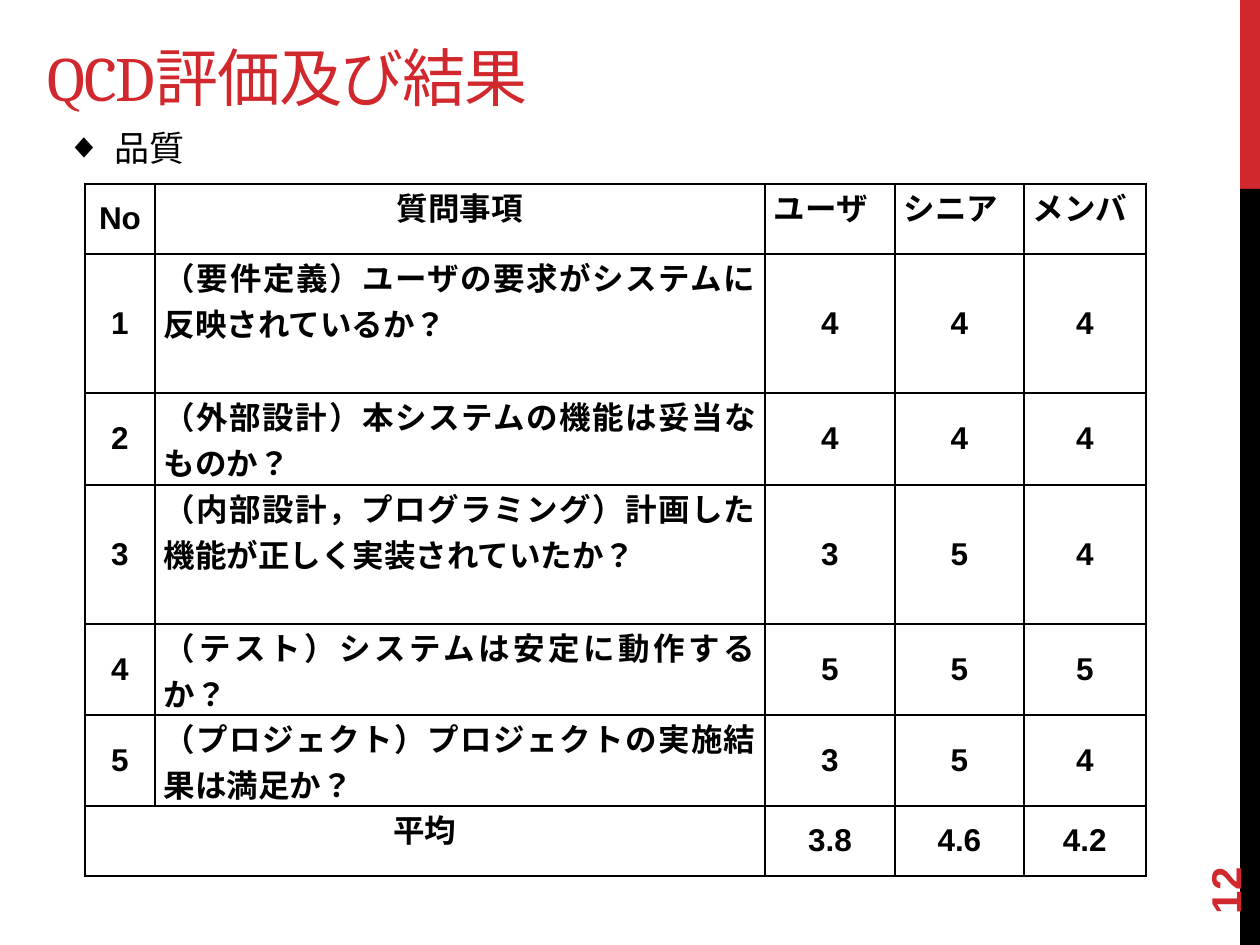
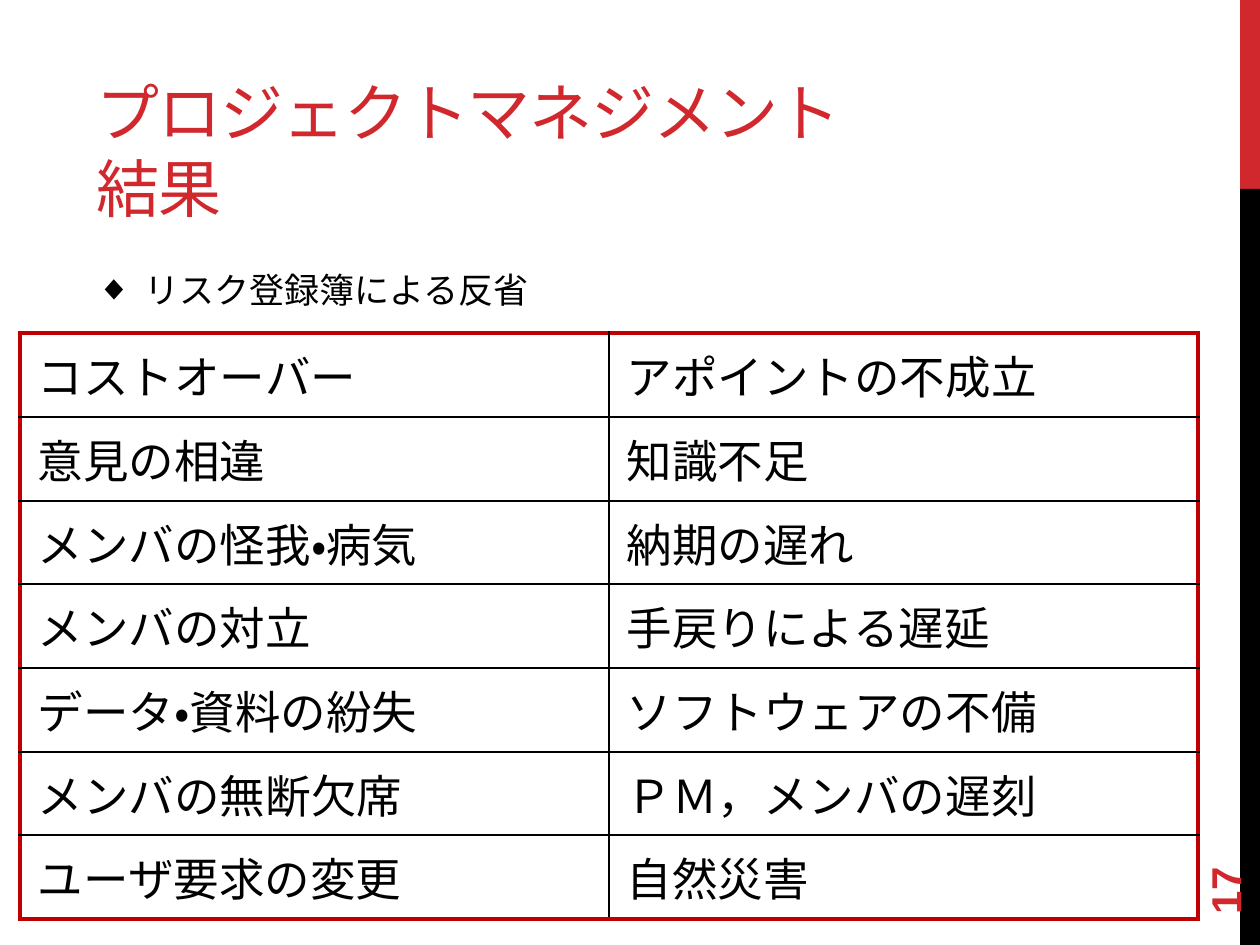
from dataclasses import dataclass

from lxml import etree
from pptx import Presentation
from pptx.dml.color import RGBColor
from pptx.enum.shapes import MSO_SHAPE
from pptx.enum.text import MSO_ANCHOR, PP_ALIGN
from pptx.oxml.ns import qn
from pptx.util import Emu, Pt

RECTANGLE = MSO_SHAPE.RECTANGLE
TOP, MIDDLE, BOTTOM = MSO_ANCHOR.TOP, MSO_ANCHOR.MIDDLE, MSO_ANCHOR.BOTTOM
LEFT, CENTER, JUSTIFY = PP_ALIGN.LEFT, PP_ALIGN.CENTER, PP_ALIGN.JUSTIFY

PX_PER_INCH = 126
COLORS = {"red": "D1282E", "frame": "C00000", "black": "000000", "white": "FFFFFF"}
BODY_FONT = "Arial"
CENTERED_LABELS = ("質問事項", "平均")

SURVEY = [
    ("No", "質問事項", "ユーザ", "シニア", "メンバ"),
    ("1", "（要件定義）ユーザの要求がシステムに反映されているか？", "4", "4", "4"),
    ("2", "（外部設計）本システムの機能は妥当なものか？", "4", "4", "4"),
    ("3", "（内部設計，プログラミング）計画した機能が正しく実装されていたか？", "3", "5", "4"),
    ("4", "（テスト）システムは安定に動作するか？", "5", "5", "5"),
    ("5", "（プロジェクト）プロジェクトの実施結果は満足か？", "3", "5", "4"),
    ("平均", "", "3.8", "4.6", "4.2"),
]
RISKS = [
    ("コストオーバー", "アポイントの不成立"),
    ("意見の相違", "知識不足"),
    ("メンバの怪我・病気", "納期の遅れ"),
    ("メンバの対立", "手戻りによる遅延"),
    ("データ・資料の紛失", "ソフトウェアの不備"),
    ("メンバの無断欠席", "ＰＭ，メンバの遅刻"),
    ("ユーザ要求の変更", "自然災害"),
]


@dataclass(frozen=True)
class Box:
    """A place on the slide in px."""
    left: int
    top: int
    width: int
    height: int


@dataclass(frozen=True)
class Band:
    """A coloured strip at the right edge."""
    box: Box
    color: str


@dataclass(frozen=True)
class TitlePart:
    """A stretch of the title in one font."""
    text: str
    font: str


@dataclass(frozen=True)
class Grid:
    """A table with its sizes and its text and border style."""
    left: int
    top: int
    columns: list[int]
    rows: list[int]
    content: list[tuple[str, ...]]
    size: int
    bold: bool
    margins: tuple[int, int]
    outer_border: tuple[str, float]


@dataclass(frozen=True)
class Page:
    """Everything that differs from slide to slide."""
    number: str
    title: list[TitlePart]
    title_box: Box
    topic: str
    topic_box: Box
    grid: Grid


INNER_BORDER = ("black", 1)
BANDS = [Band(Box(1240, 0, 20, 189), "red"), Band(Box(1240, 189, 20, 756), "black")]
NUMBER_BOX = Box(1134, 811, 181, 50)
PAGES = [
    Page("12", [TitlePart("QCD", "Cambria"), TitlePart("評価及び結果", "Montserrat")],
         Box(35, 25, 798, 95), "品質", Box(54, 120, 1050, 64),
         Grid(85, 184, [70, 610, 130, 129, 122], [70, 139, 92, 139, 91, 91, 70],
              SURVEY, 18, True, (9, 0), INNER_BORDER)),
    Page("17", [TitlePart("プロジェクトマネジメント結果", "Montserrat")],
         Box(84, 42, 798, 189), "リスク登録簿による反省", Box(84, 262, 1050, 602),
         Grid(20, 333, [589] * 2, [84, 84, 83] * 2 + [84],
              RISKS, 26, False, (18, 9), ("frame", 2.25))),
]


def px(length: int) -> Emu:
    """Turn px into EMU."""
    return Emu(round(length * 914400 / PX_PER_INCH))


def place(box: Box) -> tuple[Emu, ...]:
    """Give left, top, width and height in EMU."""
    return px(box.left), px(box.top), px(box.width), px(box.height)


def rgb(color: str) -> RGBColor:
    """Look up a colour by its name."""
    return RGBColor.from_string(COLORS[color])


def style_run(run, font: str, size: int, color: str, bold: bool = False) -> None:
    """Set the look of a run."""
    run.font.name = font
    run.font.size = Pt(size)
    run.font.bold = bold
    run.font.color.rgb = rgb(color)
    run._r.get_or_add_rPr().set("lang", "ja-JP")


def add_frame(slide, box: Box, anchor, rotation: int = 0):
    """Add a wrapping text box and return its text frame."""
    holder = slide.shapes.add_textbox(*place(box))
    holder.rotation = rotation
    holder.text_frame.word_wrap = True
    holder.text_frame.vertical_anchor = anchor
    return holder.text_frame


def add_band(slide, band: Band) -> None:
    """Draw one strip at the edge."""
    strip = slide.shapes.add_shape(RECTANGLE, *place(band.box))
    strip.shadow.inherit = False
    strip.fill.solid()
    strip.fill.fore_color.rgb = rgb(band.color)
    strip.line.fill.background()


def add_number(slide, number: str) -> None:
    """Write the upright page number."""
    frame = add_frame(slide, NUMBER_BOX, MIDDLE, 270)
    frame.text = number
    style_run(frame.paragraphs[0].runs[0], BODY_FONT, 24, "red", True)


def add_title(slide, parts: list[TitlePart], box: Box) -> None:
    """Write the title, one run for each font."""
    paragraph = add_frame(slide, box, BOTTOM).paragraphs[0]
    for part in parts:
        run = paragraph.add_run()
        run.text = part.text
        style_run(run, part.font, 36, "red")
        properties = run._r.get_or_add_rPr()
        properties.set("spc", "-60")
        etree.SubElement(properties, qn("a:ea"), typeface=part.font)


def add_topic(slide, topic: str, box: Box) -> None:
    """Write the bulleted topic line."""
    frame = add_frame(slide, box, TOP)
    frame.text = topic
    paragraph = frame.paragraphs[0]
    paragraph.level = 1
    paragraph.space_after = Pt(6)
    properties = paragraph._p.get_or_add_pPr()
    properties.set("marL", str(px(48)))
    properties.set("indent", str(-px(48)))
    etree.SubElement(properties, qn("a:buFont"), typeface=BODY_FONT)
    etree.SubElement(properties, qn("a:buChar"), char="◆")
    style_run(paragraph.runs[0], BODY_FONT, 20, "black")


def add_border(cell, side: str, color: str, width: float) -> None:
    """Draw one side of a cell."""
    line = etree.SubElement(cell._tc.get_or_add_tcPr(), qn(f"a:ln{side}"), w=str(Pt(width)))
    fill = etree.SubElement(line, qn("a:solidFill"))
    etree.SubElement(fill, qn("a:srgbClr"), val=COLORS[color])


def alignment(text: str, grid: Grid):
    """Centre figures and labels and justify the wording of the survey."""
    if grid.content is RISKS:
        return LEFT
    return CENTER if text.isascii() or text in CENTERED_LABELS else JUSTIFY


def fill_cell(cell, text: str, grid: Grid) -> None:
    """Write and style one cell."""
    cell.fill.solid()
    cell.fill.fore_color.rgb = rgb("white")
    cell.margin_left = cell.margin_right = px(grid.margins[0])
    cell.margin_top = cell.margin_bottom = px(grid.margins[1])
    cell.vertical_anchor = MIDDLE if text.isascii() else TOP
    if text:
        cell.text_frame.text = text
        paragraph = cell.text_frame.paragraphs[0]
        paragraph.alignment = alignment(text, grid)
        style_run(paragraph.runs[0], BODY_FONT, grid.size, "black", grid.bold)


def add_grid(slide, grid: Grid) -> None:
    """Draw a table, joining an empty cell to the one on its left."""
    box = Box(grid.left, grid.top, sum(grid.columns), sum(grid.rows))
    last_row, last_column = len(grid.rows) - 1, len(grid.columns) - 1
    table = slide.shapes.add_table(last_row + 1, last_column + 1, *place(box)).table
    table.first_row = table.horz_banding = False
    for column, width in zip(table.columns, grid.columns):
        column.width = px(width)
    for row, height in zip(table.rows, grid.rows):
        row.height = px(height)
    for r, texts in enumerate(grid.content):
        for c, text in enumerate(texts):
            cell = table.cell(r, c)
            outer = {"L": c == 0, "R": c == last_column, "T": r == 0, "B": r == last_row}
            for side, is_outer in outer.items():
                add_border(cell, side, *(grid.outer_border if is_outer else INNER_BORDER))
            fill_cell(cell, text, grid)
            if not text:
                table.cell(r, c - 1).merge(cell)


def add_page(deck, page: Page) -> None:
    """Build one slide."""
    slide = deck.slides.add_slide(deck.slide_layouts[6])
    for band in BANDS:
        add_band(slide, band)
    add_number(slide, page.number)
    add_title(slide, page.title, page.title_box)
    add_topic(slide, page.topic, page.topic_box)
    add_grid(slide, page.grid)


def main() -> None:
    """Build and save the presentation."""
    deck = Presentation()
    deck.slide_width, deck.slide_height = px(1260), px(945)
    for page in PAGES:
        add_page(deck, page)
    deck.save("out.pptx")


if __name__ == "__main__":
    main()
